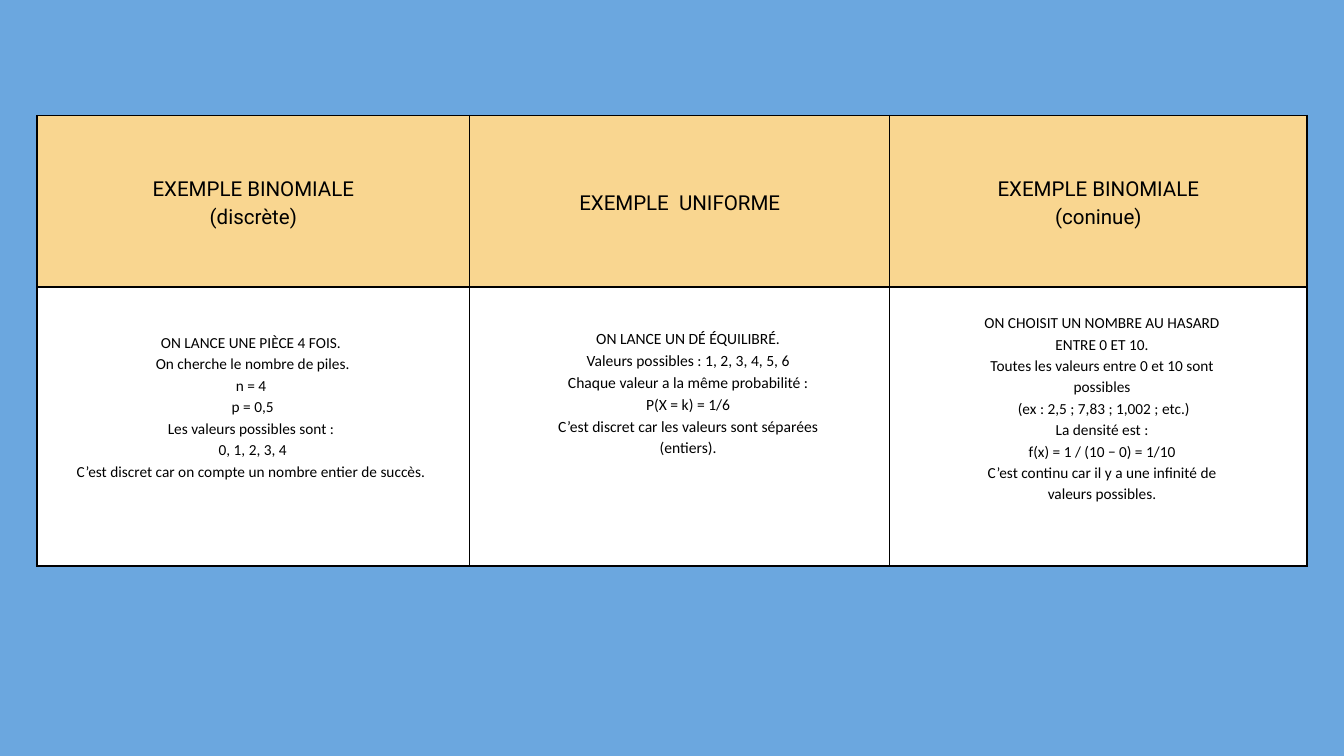
from pptx import Presentation
from pptx.dml.color import RGBColor
from pptx.enum.shapes import MSO_SHAPE
from pptx.enum.text import MSO_ANCHOR, PP_ALIGN
from pptx.oxml import parse_xml
from pptx.oxml.ns import nsdecls
from pptx.util import Inches, Pt

CENTER = PP_ALIGN.CENTER
MIDDLE = MSO_ANCHOR.MIDDLE
RECTANGLE = MSO_SHAPE.RECTANGLE
FRAME = MSO_SHAPE.FRAME
BLANK_LAYOUT = 6

BLUE, YELLOW, WHITE, BLACK = "6BA7DF", "F9D690", "FFFFFF", "000000"
BORDER_WIDTH = Pt(1.64)
COLUMN_WIDTHS = [6.44, 6.25, 6.21]
ROW_HEIGHTS = [2.55, 4.15]
CELL_MARGIN = 0.11
PANEL_POSITION = (0.56, 1.73, 18.88, 6.68)
TABLE_POSITION = (0.55, 1.72, 18.9, 6.7)
FRAME_THICKNESS = 0.02

HEADER_FORMAT = {"name": "Roboto", "size": Pt(22)}
HEADERS = [
    ["EXEMPLE BINOMIALE", "(discrète)"],
    ["EXEMPLE  UNIFORME"],
    ["EXEMPLE BINOMIALE", "(coninue)"],
]

EXAMPLES = [
    ((0.71, 4.91, 6.05, 2.59), 16.4, 23, [
        "ON LANCE UNE PIÈCE 4 FOIS.",
        " On cherche le nombre de piles.",
        "n = 4",
        " p = 0,5",
        "Les valeurs possibles sont :",
        " 0, 1, 2, 3, 4",
        "C’est discret car on compte un nombre entier de succès.",
    ]),
    ((8.03, 4.85, 4.42, 2.03), 16.7, 23.4, [
        "ON LANCE UN DÉ ÉQUILIBRÉ.",
        "Valeurs possibles : 1, 2, 3, 4, 5, 6",
        "Chaque valeur a la même probabilité :",
        "P(X = k) = 1/6",
        "C’est discret car les valeurs sont séparées (entiers).",
    ]),
    ((14.47, 4.62, 3.86, 3.19), 16.4, 22.9, [
        "ON CHOISIT UN NOMBRE AU HASARD ENTRE 0 ET 10.",
        "Toutes les valeurs entre 0 et 10 sont possibles",
        " (ex : 2,5 ; 7,83 ; 1,002 ; etc.)",
        "La densité est :",
        "f(x) = 1 / (10 − 0) = 1/10",
        "C’est continu car il y a une infinité de valeurs possibles.",
    ]),
]


def set_fill(fill, color):
    fill.solid()
    fill.fore_color.rgb = RGBColor.from_string(color)


def set_attributes(target, values):
    for name, value in values.items():
        setattr(target, name, value)


def add_plain_shape(slide, preset, position, color):
    shape = slide.shapes.add_shape(preset, *map(Inches, position))
    shape.shadow.inherit = False
    set_fill(shape.fill, color)
    shape.line.fill.background()
    return shape


def write_paragraphs(text_frame, lines, font_format, line_spacing):
    for index, line in enumerate(lines):
        paragraph = text_frame.add_paragraph() if index else text_frame.paragraphs[0]
        set_attributes(paragraph, {"alignment": CENTER, "line_spacing": Pt(line_spacing)})
        run = paragraph.add_run()
        run.text = line
        set_attributes(run.font, font_format)
        run.font.color.rgb = RGBColor.from_string(BLACK)


def set_borders(cell):
    properties = cell._tc.get_or_add_tcPr()
    for index, side in enumerate(("lnL", "lnR", "lnT", "lnB")):
        border = parse_xml(
            f'<a:{side} {nsdecls("a")} w="{BORDER_WIDTH}"><a:solidFill>'
            f'<a:srgbClr val="{BLACK}"/></a:solidFill></a:{side}>'
        )
        properties.insert(index, border)


def add_example_table(slide):
    frame = slide.shapes.add_table(
        len(ROW_HEIGHTS), len(COLUMN_WIDTHS), *map(Inches, TABLE_POSITION)
    )
    table = frame.table
    for column, width in zip(table.columns, COLUMN_WIDTHS):
        column.width = Inches(width)
    for row, height, color in zip(table.rows, ROW_HEIGHTS, (YELLOW, WHITE)):
        row.height = Inches(height)
        for cell in row.cells:
            set_fill(cell.fill, color)
            set_borders(cell)
            cell.vertical_anchor = MIDDLE
            sides = ("left", "right", "top", "bottom")
            set_attributes(cell, {f"margin_{side}": Inches(CELL_MARGIN) for side in sides})
    for cell, lines in zip(table.rows[0].cells, HEADERS):
        write_paragraphs(cell.text_frame, lines, HEADER_FORMAT, 30.8)


def add_example_text(slide, position, size, line_spacing, lines):
    text_frame = slide.shapes.add_textbox(*map(Inches, position)).text_frame
    set_attributes(text_frame, {
        "word_wrap": True,
        "margin_left": 0,
        "margin_right": 0,
        "margin_top": 0,
        "margin_bottom": 0,
    })
    write_paragraphs(text_frame, lines, {"name": "Calibri", "size": Pt(size)}, line_spacing)


def main():
    presentation = Presentation()
    presentation.slide_width = Inches(20)
    presentation.slide_height = Inches(11.25)
    slide = presentation.slides.add_slide(presentation.slide_layouts[BLANK_LAYOUT])
    set_fill(slide.background.fill, BLUE)
    add_plain_shape(slide, RECTANGLE, PANEL_POSITION, WHITE)
    outline = add_plain_shape(slide, FRAME, TABLE_POSITION, BLACK)
    outline.adjustments[0] = FRAME_THICKNESS / min(TABLE_POSITION[2:])
    add_example_table(slide)
    for example in EXAMPLES:
        add_example_text(slide, *example)
    presentation.save("out.pptx")


if __name__ == "__main__":
    main()
